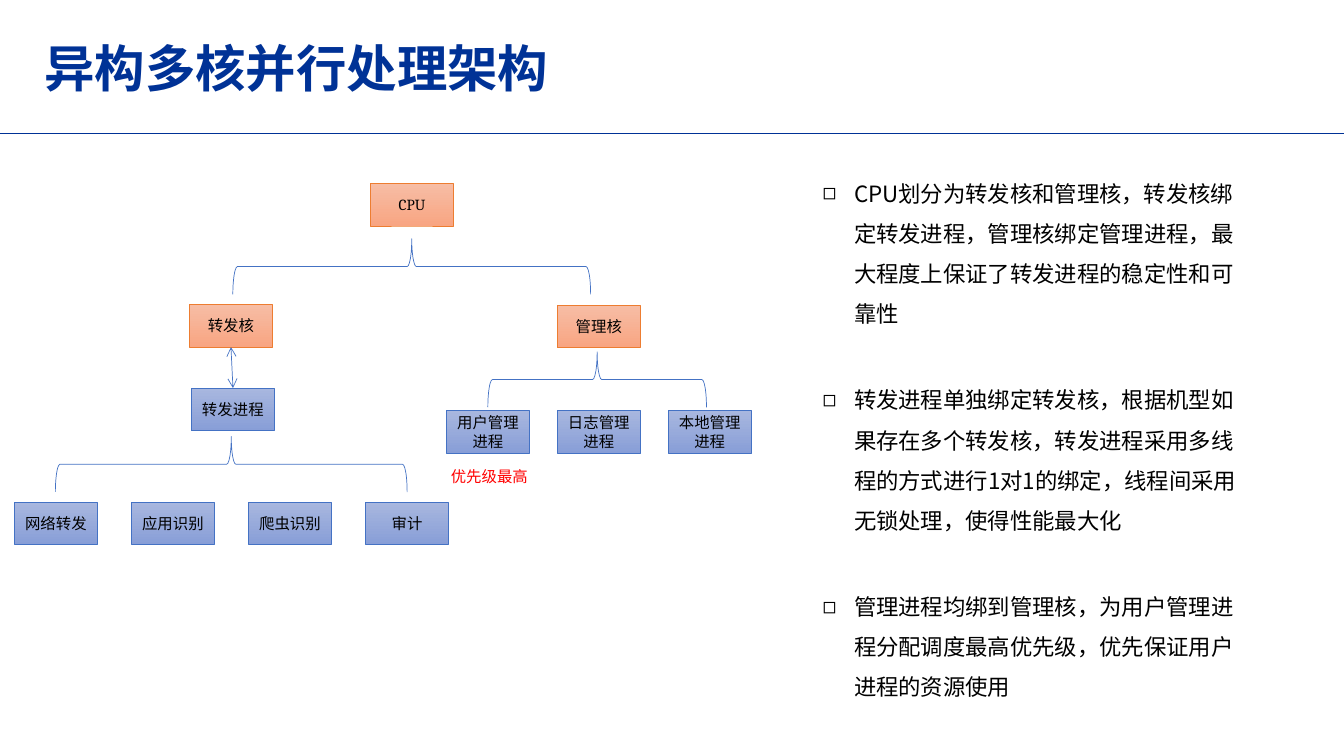
from dataclasses import dataclass

from lxml.etree import SubElement
from pptx import Presentation
from pptx.dml.color import RGBColor
from pptx.enum.shapes import MSO_CONNECTOR, MSO_SHAPE
from pptx.enum.text import MSO_ANCHOR, MSO_AUTO_SIZE, PP_ALIGN
from pptx.oxml.ns import qn
from pptx.util import Pt

SANS = "Noto Sans CJK SC"
SERIF = "Cambria"
NAVY, BLUE, ORANGE = "003296", "4472C4", "ED7D31"
BLACK, RED = "000000", "FF0000"
NODE_WIDTH, NODE_HEIGHT = 59.2, 30.5
BRACE_DEPTH = 39.6
GRADIENTS = {BLUE: ("A8B7DF", "889ED7"), ORANGE: ("F7BDA5", "F8A582")}


@dataclass
class Node:
    label: str
    left: float
    top: float
    tone: str = BLUE


@dataclass
class Brace:
    center: float
    top: float
    span: float


def rgb(value: str) -> RGBColor:
    return RGBColor.from_string(value)


def format_runs(frame, size: float, font: str, color: str, bold: bool = False) -> None:
    for paragraph in frame.paragraphs:
        for run in paragraph.runs:
            run.font.size = Pt(size)
            run.font.name = font
            run.font.bold = bold
            run.font.color.rgb = rgb(color)
            east_asian = SubElement(run.font._element, qn("a:ea"))
            east_asian.set("typeface", SANS)


def place(shape, left: float, top: float, width: float, height: float) -> None:
    shape.left, shape.top = Pt(left), Pt(top)
    shape.width, shape.height = Pt(width), Pt(height)


def outline(shape, color: str) -> None:
    shape.line.color.rgb = rgb(color)
    shape.line.width = Pt(0.5)


def add_node(slide, node: Node):
    shape = slide.shapes.add_shape(
        MSO_SHAPE.RECTANGLE, Pt(node.left), Pt(node.top), Pt(NODE_WIDTH), Pt(NODE_HEIGHT))
    shape.shadow.inherit = False
    shape.fill.gradient()
    shape.fill.gradient_angle = 270
    for stop, color in zip(shape.fill.gradient_stops, GRADIENTS[node.tone]):
        stop.color.rgb = rgb(color)
    outline(shape, node.tone)
    frame = shape.text_frame
    frame.text = node.label
    frame.word_wrap = True
    frame.vertical_anchor = MSO_ANCHOR.MIDDLE
    for paragraph in frame.paragraphs:
        paragraph.alignment = PP_ALIGN.CENTER
    format_runs(frame, 11, SERIF, BLACK)
    return shape


def add_brace(slide, brace: Brace) -> None:
    middle = brace.top + BRACE_DEPTH / 2
    shape = slide.shapes.add_shape(
        MSO_SHAPE.RIGHT_BRACE,
        Pt(brace.center - BRACE_DEPTH / 2), Pt(middle - brace.span / 2),
        Pt(BRACE_DEPTH), Pt(brace.span))
    shape.rotation = 270
    shape.shadow.inherit = False
    shape.fill.background()
    outline(shape, BLUE)


def add_line(slide, start: tuple[float, float], end: tuple[float, float], color: str):
    line = slide.shapes.add_connector(
        MSO_CONNECTOR.STRAIGHT, *(Pt(value) for value in start + end))
    outline(line, color)
    SubElement(line._element.spPr, qn("a:effectLst"))
    return line


def add_binding_arrow(slide, process, core) -> None:
    arrow = add_line(slide, (0, 0), (0, 0), BLUE)
    arrow.begin_connect(process, 0)
    arrow.end_connect(core, 2)
    for tag in ("a:headEnd", "a:tailEnd"):
        SubElement(arrow.line._get_or_add_ln(), qn(tag)).set("type", "arrow")


def fill_title(title, text: str) -> None:
    place(title, 24.5, 28, 828, 46)
    frame = title.text_frame
    frame.text = text
    frame.word_wrap = True
    frame.auto_size = MSO_AUTO_SIZE.NONE
    frame.vertical_anchor = MSO_ANCHOR.MIDDLE
    frame.paragraphs[0].alignment = PP_ALIGN.LEFT
    frame.paragraphs[0].line_spacing = 0.9
    format_runs(frame, 36, SANS, NAVY, bold=True)


def fill_points(body, points: list[str]) -> None:
    place(body, 580.3, 115.2, 314, 415)
    frame = body.text_frame
    frame.text = "\n".join(points)
    frame.word_wrap = True
    frame.auto_size = MSO_AUTO_SIZE.NONE
    frame.vertical_anchor = MSO_ANCHOR.TOP
    for index, paragraph in enumerate(frame.paragraphs):
        paragraph.line_spacing = 1.5
        paragraph.space_before = Pt(32.5 if index else 0)
        properties = paragraph._p.get_or_add_pPr()
        properties.set("marL", str(Pt(22.5)))
        properties.set("indent", str(Pt(-22.5)))
        SubElement(properties, qn("a:buChar")).set("char", "◻")
    format_runs(frame, 16, SANS, BLACK)


def add_priority_note(slide, text: str) -> None:
    note = slide.shapes.add_textbox(Pt(314.9), Pt(329.8), Pt(71.3), Pt(21))
    note.text_frame.text = text
    note.text_frame.word_wrap = True
    format_runs(note.text_frame, 11, SERIF, RED)


def main() -> None:
    presentation = Presentation()
    presentation.slide_width, presentation.slide_height = Pt(960), Pt(540)
    slide = presentation.slides.add_slide(presentation.slide_layouts[1])

    fill_title(slide.shapes.title, "异构多核并行处理架构")
    fill_points(slide.placeholders[1], [
        "CPU划分为转发核和管理核，转发核绑定转发进程，管理核绑定管理进程，最大程度上保证了转发进程的稳定性和可靠性",
        "转发进程单独绑定转发核，根据机型如果存在多个转发核，转发进程采用多线程的方式进行1对1的绑定，线程间采用无锁处理，使得性能最大化",
        "管理进程均绑到管理核，为用户管理进程分配调度最高优先级，优先保证用户进程的资源使用",
    ])
    add_line(slide, (0, 95.5), (960, 95.5), NAVY)

    forwarding_tasks = ["网络转发", "应用识别", "爬虫识别", "审计"]
    management_processes = ["用户管理进程", "日志管理\n进程", "本地管理\n进程"]
    for index, label in enumerate(forwarding_tasks):
        add_node(slide, Node(label, 10.4 + 83.6 * index, 358.6))
    for index, label in enumerate(management_processes):
        add_node(slide, Node(label, 319 + 79.2 * index, 293.3))

    add_node(slide, Node("CPU", 264.7, 131, ORANGE))
    add_node(slide, Node("管理核", 398.2, 218, ORANGE))
    forwarding_core = add_node(slide, Node("转发核", 135.4, 217.4, ORANGE))
    forwarding_process = add_node(slide, Node("转发进程", 136.8, 277.2))
    add_binding_arrow(slide, forwarding_process, forwarding_core)

    for brace in (
        Brace(294.1, 170.6, 255.6),
        Brace(426.6, 251.3, 156.2),
        Brace(165.2, 311.8, 251.3),
    ):
        add_brace(slide, brace)
    add_priority_note(slide, "优先级最高")

    presentation.save("out.pptx")


if __name__ == "__main__":
    main()
